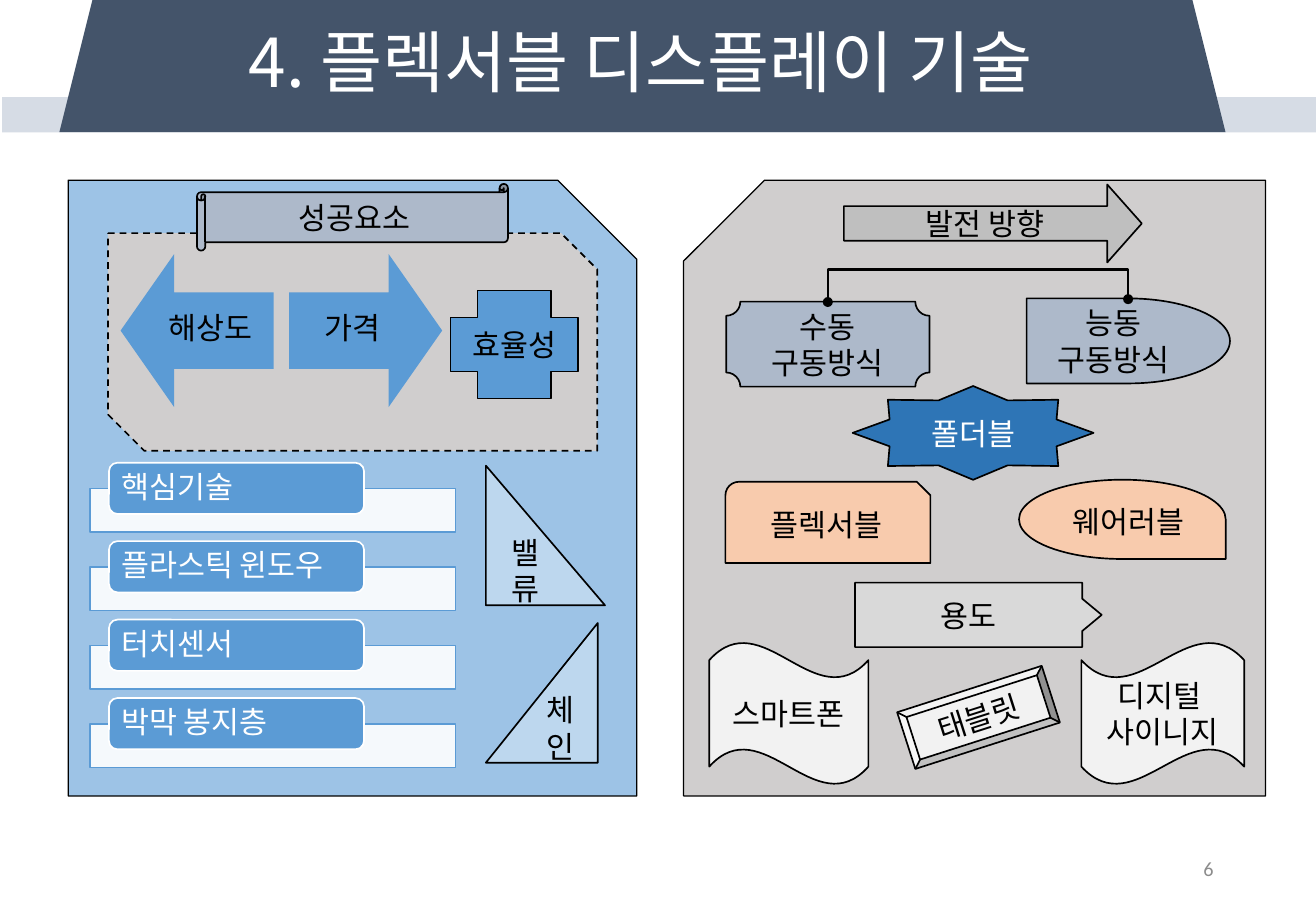
import pptx
import pptx.util
import pptx.dml.color
import pptx.enum.dml
import pptx.enum.shapes
import pptx.enum.text
import pptx.oxml
import pptx.oxml.ns

Pt = pptx.util.Pt
Kind = pptx.enum.shapes.MSO_SHAPE
Align = pptx.enum.text.PP_ALIGN
qn = pptx.oxml.ns.qn

HUES = {
    "white": "FFFFFF", "black": "000000", "pale": "D6DCE5", "navy": "44546A",
    "sky": "9DC3E6", "gray": "D0CECE", "steel": "ADB9CA", "blue": "5B9BD5",
    "ice": "BDD7EE", "mid": "BFBFBF", "deep": "2E75B6", "peach": "F8CBAD",
    "light": "D9D9D9", "smoke": "F2F2F2", "dim": "8C8C8C",
}
HANGUL = "Noto Sans CJK KR"


def hue(name):
    return pptx.dml.color.RGBColor.from_string(HUES[name])


def add_tag(parent, tag, **attrs):
    node = pptx.oxml.parse_xml(f"<{tag} {pptx.oxml.ns.nsdecls('a')}/>")
    for key, value in attrs.items():
        node.set(key, value)
    parent.append(node)


def write(shape, text, size=18, color="black", font=HANGUL,
          align=Align.CENTER, pads=(7.2, 3.6), top=False, space=None):
    frame = shape.text_frame
    frame.word_wrap = True
    anchor = pptx.enum.text.MSO_ANCHOR
    frame.vertical_anchor = anchor.TOP if top else anchor.MIDDLE
    frame.margin_left = frame.margin_right = Pt(pads[0])
    frame.margin_top = frame.margin_bottom = Pt(pads[1])
    frame.text = text
    for para in frame.paragraphs:
        para.alignment = align
        para.line_spacing = space
        for run in para.runs:
            run.font.size = Pt(size)
            run.font.name = font
            run.font.color.rgb = hue(color)
            add_tag(run.font._element, "a:ea", typeface=font)


def label(shapes, box, text, **style):
    write(shapes.add_textbox(*map(Pt, box)), text, **style)


def draw(shapes, kind, box, fill, line="black", width=1, text="",
         color="black", adj=(), turn=0, flip=""):
    shape = shapes.add_shape(kind, *map(Pt, box))
    shape.shadow.inherit = False
    shape.fill.solid()
    shape.fill.fore_color.rgb = hue(fill)
    if line:
        shape.line.color.rgb = hue(line)
        shape.line.width = Pt(width)
    else:
        shape.line.fill.background()
    for i, value in enumerate(adj):
        shape.adjustments[i] = value
    shape.rotation = turn
    if flip:
        shape.element.spPr.xfrm.set(flip, "1")
    if text:
        write(shape, text, color=color)
    return shape


def fork(shapes):
    elbow = pptx.enum.shapes.MSO_CONNECTOR.ELBOW
    link = shapes.add_connector(elbow, *map(Pt, (580.45, 267.2, 578.75, 89.2)))
    link.line.color.rgb = hue("black")
    link.line.width = Pt(1.5)
    props = link.element.spPr
    props.xfrm.set("rot", "5400000")
    add_tag(props.find(qn("a:prstGeom")).find(qn("a:avLst")), "a:gd",
            name="adj1", fmla="val 1136600")
    for end in ("a:headEnd", "a:tailEnd"):
        add_tag(props.find(qn("a:ln")), end, type="oval")
    add_tag(props, "a:effectLst")


def card(shapes, y, text):
    strip = draw(shapes, Kind.RECTANGLE, (53.4, y + 15.3, 216.6, 25.8),
                 "white", "blue")
    tone = strip.element.spPr.find(qn("a:solidFill")).find(qn("a:srgbClr"))
    add_tag(tone, "a:alpha", val="90000")
    draw(shapes, Kind.ROUNDED_RECTANGLE, (64.6, y, 151.2, 30.4), "blue", "white")
    label(shapes, (66.2, y + 1.5, 148.3, 27.4), text, color="white",
          align=Align.LEFT, pads=(5.7, 0), space=0.9)


def header(shapes):
    draw(shapes, Kind.RECTANGLE, (1.2, 57.6, 780, 20.9), "pale", None)
    draw(shapes, Kind.TRAPEZOID, (35.2, 0, 691.2, 78.4), "navy", None)
    label(shapes, (53.3, 0, 653, 78.4), "4. 플렉서블 디스플레이 기술",
          size=40, color="white", space=0.9)
    label(shapes, (550.8, 500.4, 175.7, 28.8), "6", size=12, color="dim",
          font="Calibri", align=Align.RIGHT)


def left(shapes):
    draw(shapes, Kind.SNIP_1_RECTANGLE, (40.4, 106.8, 337, 365), "sky",
         width=0.75, adj=[0.139])
    frame = draw(shapes, Kind.SNIP_2_DIAG_RECTANGLE, (64, 138.2, 290, 129), "gray")
    frame.line.dash_style = pptx.enum.dml.MSO_LINE.DASH
    draw(shapes, Kind.HORIZONTAL_SCROLL, (116.8, 109, 184.3, 39.6), "steel",
         text="성공요소")
    for x, turn, shift, text in ((71.5, 270, 15.6, "해상도"), (171.4, 90, 0, "가격")):
        draw(shapes, Kind.UP_ARROW, (x, 150.6, 90.7, 90.7), "blue", None,
             adj=[0.5, 0.35], turn=turn)
        label(shapes, (x + shift, 172.8, 74.9, 45.4), text,
              pads=(10, 10), space=0.9)
    draw(shapes, Kind.CROSS, (267.1, 172.2, 75.6, 64), "blue", text="효율성")
    for i, text in enumerate(("핵심기술", "플라스틱 윈도우", "터치센서", "박막 봉지층")):
        card(shapes, 274.3 + 46.5 * i, text)
    for y, width, flip, text in ((276, 70.6, "", "밸류"), (369.3, 66.3, "flipH", "체인")):
        draw(shapes, Kind.RIGHT_TRIANGLE, (288, y, width, 82.8), "ice",
             text=text, flip=flip)


def right(shapes):
    draw(shapes, Kind.SNIP_1_RECTANGLE, (405.2, 106.8, 344.9, 365), "gray",
         width=0.75, adj=[0.139], flip="flipH")
    draw(shapes, Kind.RIGHT_ARROW, (500.2, 109.4, 176.6, 46.2), "mid",
         text="발전 방향", adj=[0.443, 0.443])
    draw(shapes, Kind.PLAQUE, (430.4, 178.8, 120.5, 50.4), "steel",
         text="수동\n구동방식")
    draw(shapes, Kind.FLOWCHART_DELAY, (608.5, 176.9, 120.5, 50.4), "steel",
         text="능동\n구동방식")
    fork(shapes)
    draw(shapes, Kind.STAR_8_POINT, (505.4, 228.8, 142.8, 55.6), "deep",
         text="폴더블", color="white")
    draw(shapes, Kind.SNIP_ROUND_RECTANGLE, (430, 285.6, 121.5, 48.2), "peach",
         text="플렉서블")
    draw(shapes, Kind.TEAR, (604, 284.4, 122.5, 47), "peach", flip="flipV")
    draw(shapes, Kind.RIGHT_ARROW_CALLOUT, (506.8, 345.4, 146.2, 38.2), "light",
         text="용도", adj=[0.494, 0.25, 0.301, 0.96])
    draw(shapes, Kind.WAVE, (420.4, 380.8, 94.3, 84.2), "smoke", text="스마트폰")
    draw(shapes, Kind.WAVE, (641, 380.8, 96.5, 84.2), "smoke",
         text="디지털 \n사이니지", flip="flipH")
    draw(shapes, Kind.BEVEL, (535, 407.6, 90, 35.3), "smoke",
         text="태블릿", turn=342.2)
    label(shapes, (620.6, 294.5, 96.5, 28.8), "웨어러블", top=True)


def main():
    deck = pptx.Presentation()
    deck.slide_width, deck.slide_height = Pt(780), Pt(540)
    shapes = deck.slides.add_slide(deck.slide_layouts[6]).shapes
    header(shapes)
    left(shapes.add_group_shape().shapes)
    right(shapes.add_group_shape().shapes)
    deck.save("out.pptx")


if __name__ == "__main__":
    main()
